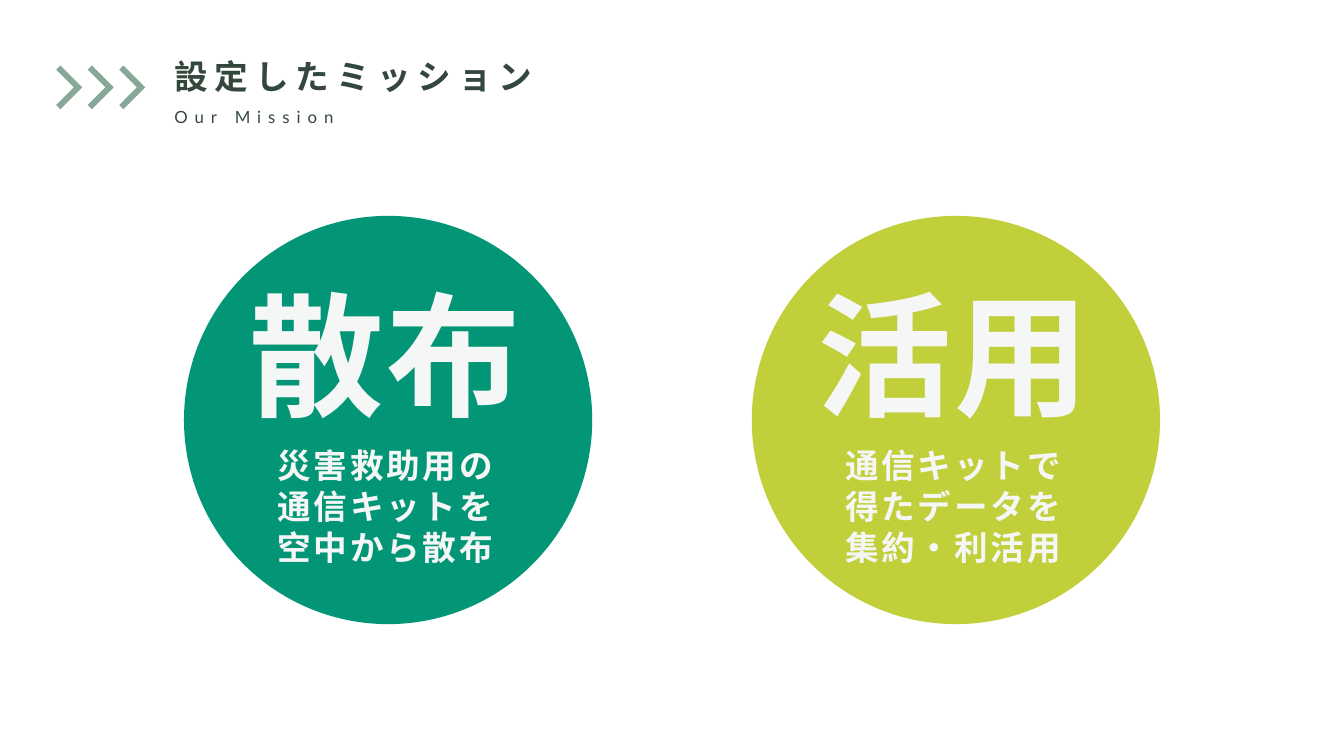
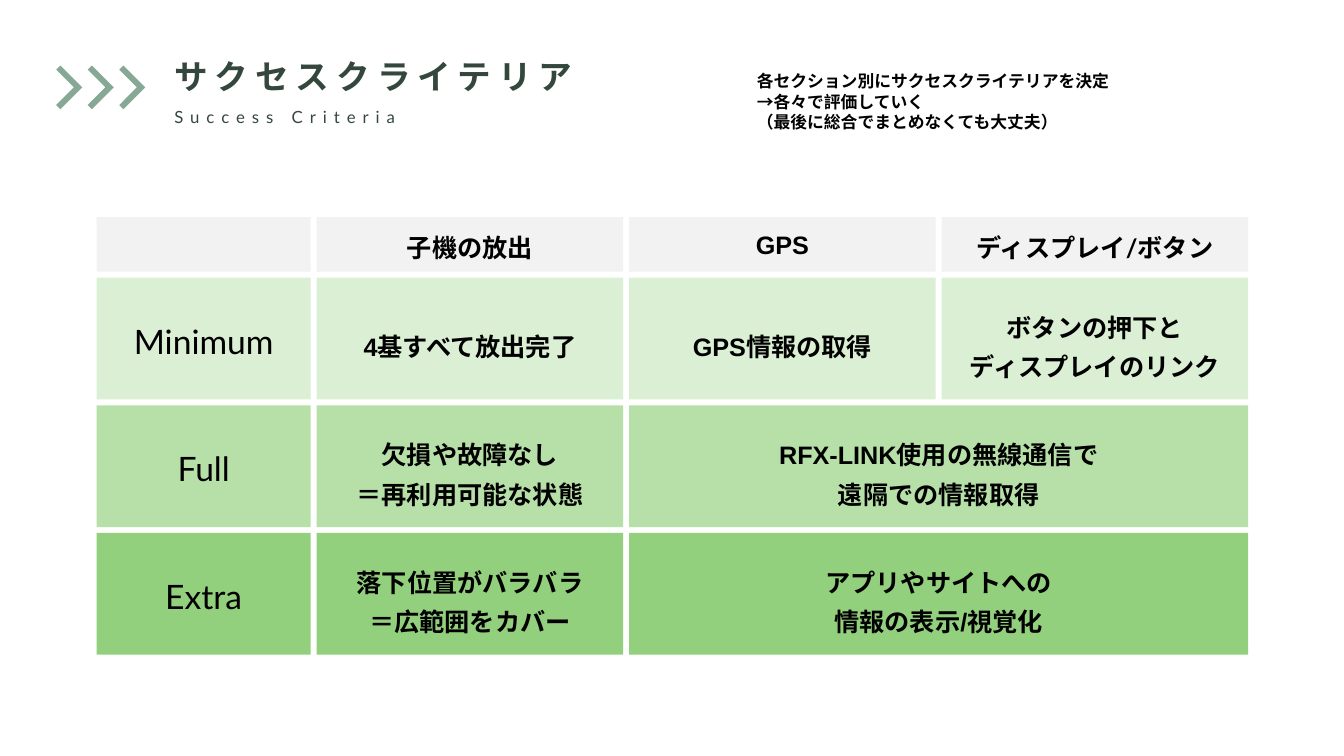
from dataclasses import dataclass

from lxml import etree
from pptx import Presentation
from pptx.dml.color import RGBColor
from pptx.enum.shapes import MSO_SHAPE
from pptx.enum.text import MSO_ANCHOR, MSO_AUTO_SIZE, PP_ALIGN
from pptx.oxml.ns import qn
from pptx.util import Emu, Pt

COLS, ROWS = 160, 90
CELL = 76200
OVAL, RECTANGLE = MSO_SHAPE.OVAL, MSO_SHAPE.RECTANGLE
TOP, MIDDLE = MSO_ANCHOR.TOP, MSO_ANCHOR.MIDDLE
LEFT, CENTER = PP_ALIGN.LEFT, PP_ALIGN.CENTER
NO_FIT = MSO_AUTO_SIZE.NONE
TITLE_ONLY = 5

COLORS = {
    "heading": "34473D",
    "chevron": "87A896",
    "teal": "029676",
    "lime": "C0CF3A",
    "paper": "F5F6F6",
    "black": "000000",
    "header": "F2F2F2",
    "minimum": "DBEFD4",
    "full": "B7E0A8",
    "extra": "93D07D",
}
CJK = "Noto Sans CJK JP"


@dataclass(frozen=True)
class Style:
    size: float
    font: str
    color: str = "black"
    bold: bool = True
    spacing: float = 0
    align: PP_ALIGN = CENTER
    leading: float = 1.2
    drop: float = 0


@dataclass(frozen=True)
class Mission:
    center: float
    color: str
    word: str
    lines: tuple[str, ...]


@dataclass(frozen=True)
class Entry:
    lines: tuple[str, ...]
    style: Style
    span: int = 1


@dataclass(frozen=True)
class Level:
    color: str
    height: float
    entries: tuple[Entry, ...]


TITLE = Style(24, CJK, "heading", spacing=5, align=LEFT)
SUBTITLE = Style(12, "Lato", "heading", bold=False, spacing=5, align=LEFT)
NOTE = Style(12, "Arial", align=LEFT, leading=1.22)
WORD = Style(96, CJK, "paper", spacing=2)
DETAIL = Style(24, CJK, "paper", spacing=2, leading=1.22)
HEAD = Style(18, "Lato", drop=2.5)
HEAD_LATIN = Style(18, "Arial")
LEVEL = Style(24, "Lato", bold=False, drop=1.5)
BODY = Style(18, "Arial", leading=1.56, drop=2.5)

HEADING_LEFT = 20.75
CHEVRON = ((0.5, 0), (3.1, 2.6), (0.5, 5.2), (0, 4.7), (2.1, 2.6), (0, 0.5))
CHEVRON_LEFT, CHEVRON_TOP, CHEVRON_STEP = 6.7, 7.8, 3.75
DIAMETER, MIDDLE_ROW = 48.6, 50
CRITERIA_LEFT, CRITERIA_TOP = 11.5, 25.85
CRITERIA_COLS = (25.5, 36.5, 36.5, 36.5)
GAP = 0.7

MISSIONS = (
    Mission(46.2, "teal", "散布", ("災害救助用の", "通信キットを", "空中から散布")),
    Mission(113.8, "lime", "活用", ("通信キットで", "得たデータを", "集約・利活用")),
)
LEVELS = (
    Level("header", 6.5, (
        Entry((), HEAD),
        Entry(("子機の放出",), HEAD),
        Entry(("GPS",), HEAD_LATIN),
        Entry(("ディスプレイ/ボタン",), HEAD),
    )),
    Level("minimum", 14.5, (
        Entry(("Minimum",), LEVEL),
        Entry(("4基すべて放出完了",), BODY),
        Entry(("GPS情報の取得",), BODY),
        Entry(("ボタンの押下と", "ディスプレイのリンク"), BODY),
    )),
    Level("full", 14.5, (
        Entry(("Full",), LEVEL),
        Entry(("欠損や故障なし", "＝再利用可能な状態"), BODY),
        Entry(("RFX-LINK使用の無線通信で", "遠隔での情報取得"), BODY, 2),
    )),
    Level("extra", 14.5, (
        Entry(("Extra",), LEVEL),
        Entry(("落下位置がバラバラ", "＝広範囲をカバー"), BODY),
        Entry(("アプリやサイトへの", "情報の表示/視覚化"), BODY, 2),
    )),
)


def grid(n: float) -> Emu:
    return Emu(round(n * CELL))


def rgb(name: str) -> RGBColor:
    return RGBColor.from_string(COLORS[name])


def paint(sp, color: str) -> None:
    sp.shadow.inherit = False
    sp.fill.solid()
    sp.fill.fore_color.rgb = rgb(color)
    sp.line.fill.background()


def add_shape(s, kind: MSO_SHAPE, left: float, top: float,
              width: float, height: float, color: str):
    sp = s.shapes.add_shape(
        kind, grid(left), grid(top), grid(width), grid(height))
    paint(sp, color)
    return sp


def write(sp, lines: tuple[str, ...], style: Style, anchor: MSO_ANCHOR) -> None:
    tf = sp.text_frame
    tf.margin_left = tf.margin_right = tf.margin_bottom = 0
    tf.margin_top = Pt(style.drop * 2)
    tf.word_wrap = True
    tf.auto_size = NO_FIT
    tf.vertical_anchor = anchor
    for i, line in enumerate(lines):
        p = tf.paragraphs[0] if i == 0 else tf.add_paragraph()
        p.text = line
        p.alignment = style.align
        p.line_spacing = Pt(style.size * style.leading)
        p.font.size = Pt(style.size)
        p.font.bold = style.bold
        p.font.name = style.font
        p.font.color.rgb = rgb(style.color)
        props = p._p.pPr.find(qn("a:defRPr"))
        props.set("spc", str(round(style.spacing * 100)))
        etree.SubElement(props, qn("a:ea"), typeface=CJK)


def fill_frame(sp, left: float, top: float, width: float,
               lines: tuple[str, ...], style: Style) -> None:
    sp.left, sp.top, sp.width = grid(left), grid(top), grid(width)
    sp.height = Pt(style.size * style.leading * len(lines))
    write(sp, lines, style, TOP)


def add_text(s, left: float, top: float, width: float,
             lines: tuple[str, ...], style: Style) -> None:
    sp = s.shapes.add_textbox(0, 0, 0, 0)
    fill_frame(sp, left, top, width, lines, style)


def add_chevron(s, left: float, top: float) -> None:
    points = [(grid(left + x), grid(top + y)) for x, y in CHEVRON]
    builder = s.shapes.build_freeform(*points[0])
    builder.add_line_segments(points[1:], close=True)
    paint(builder.convert_to_shape(), "chevron")


def add_slide(prs, title: str, subtitle: str):
    s = prs.slides.add_slide(prs.slide_layouts[TITLE_ONLY])
    for i in range(3):
        add_chevron(s, CHEVRON_LEFT + i * CHEVRON_STEP, CHEVRON_TOP)
    fill_frame(s.shapes.title, HEADING_LEFT, 6.65, 50, (title,), TITLE)
    add_text(s, HEADING_LEFT, 12.7, 30, (subtitle,), SUBTITLE)
    return s


def add_mission(s, mission: Mission) -> None:
    radius = DIAMETER / 2
    add_shape(s, OVAL, mission.center - radius, MIDDLE_ROW - radius,
              DIAMETER, DIAMETER, mission.color)
    width = 43
    left = mission.center - 0.35 - width / 2
    add_text(s, left, 32.35, width, (mission.word,), WORD)
    add_text(s, left, 52.9, width, mission.lines, DETAIL)


def add_criteria(s) -> None:
    top = CRITERIA_TOP
    for level in LEVELS:
        left, c = CRITERIA_LEFT, 0
        for entry in level.entries:
            spanned = CRITERIA_COLS[c:c + entry.span]
            width = sum(spanned) + GAP * (entry.span - 1)
            sp = add_shape(s, RECTANGLE, left, top, width, level.height,
                           level.color)
            write(sp, entry.lines, entry.style, MIDDLE)
            left += width + GAP
            c += entry.span
        top += level.height + GAP


def main() -> None:
    prs = Presentation()
    prs.slide_width, prs.slide_height = grid(COLS), grid(ROWS)

    s = add_slide(prs, "設定したミッション", "Our Mission")
    for mission in MISSIONS:
        add_mission(s, mission)

    s = add_slide(prs, "サクセスクライテリア", "Success Criteria")
    add_text(s, 90.1, 8.4, 45, (
        "各セクション別にサクセスクライテリアを決定",
        "→各々で評価していく",
        "（最後に総合でまとめなくても大丈夫）",
    ), NOTE)
    add_criteria(s)

    prs.save("out.pptx")


if __name__ == "__main__":
    main()
